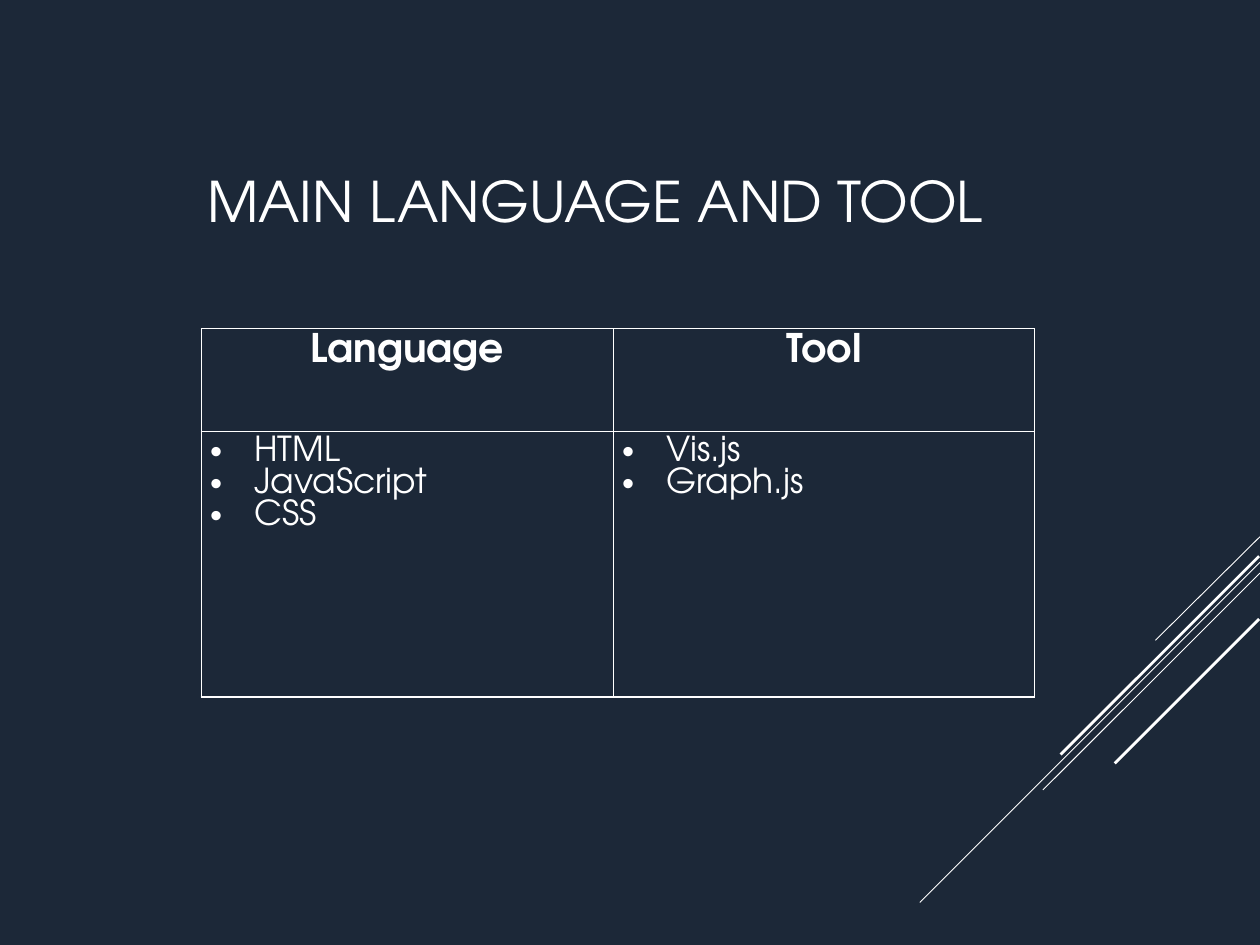
import pptx
import pptx.util
import pptx.dml.color
import pptx.enum.shapes
import pptx.enum.text
import pptx.oxml
import pptx.oxml.ns
from lxml import etree

Inches = pptx.util.Inches
Align = pptx.enum.text.PP_ALIGN
qn = pptx.oxml.ns.qn


def color(code):
    return pptx.dml.color.RGBColor.from_string(code)


class Deck:
    """Holds the style and the current slide, and draws each kind of element."""

    font = "TeX Gyre Adventor"
    ink = "FFFFFF"
    back = "1C2838"

    def __init__(self, width, height):
        self.show = pptx.Presentation()
        self.show.slide_width = Inches(width)
        self.show.slide_height = Inches(height)
        self.slide = self.show.slides.add_slide(self.show.slide_layouts[6])
        fill = self.slide.background.fill
        fill.solid()
        fill.fore_color.rgb = color(self.back)

    def label(self, frame, lines, size, bold=False, align=Align.LEFT):
        frame.text = "\n".join(lines)
        for para in frame.paragraphs:
            para.alignment = align
            for run in para.runs:
                run.font.name = self.font
                run.font.size = pptx.util.Pt(size)
                run.font.bold = bold
                run.font.color.rgb = color(self.ink)

    def title(self, text, left, top, width, height, size):
        box = self.slide.shapes.add_textbox(
            Inches(left), Inches(top), Inches(width), Inches(height))
        frame = box.text_frame
        frame.word_wrap = True
        frame.vertical_anchor = pptx.enum.text.MSO_ANCHOR.MIDDLE
        self.label(frame, [text], size)

    def line(self, right, top, left, end, weight):
        link = self.slide.shapes.add_connector(
            pptx.enum.shapes.MSO_CONNECTOR.STRAIGHT,
            Inches(right), Inches(top), Inches(left), Inches(end))
        link.line.color.rgb = color(self.ink)
        link.line.width = pptx.util.Pt(weight)
        etree.SubElement(link._element.spPr, qn("a:effectLst"))

    def bullet(self, para):
        props = para._p.get_or_add_pPr()
        props.set("marL", str(Inches(0.5)))
        props.set("indent", str(-Inches(0.5)))
        etree.SubElement(props, qn("a:buFont")).set("typeface", "Arial")
        etree.SubElement(props, qn("a:buChar")).set("char", "•")

    def border(self, cell, weight):
        props = cell._tc.get_or_add_tcPr()
        for place, side in enumerate(("lnL", "lnR", "lnT", "lnB")):
            edge = etree.Element(qn("a:" + side), w=str(pptx.util.Pt(weight)))
            fill = etree.SubElement(edge, qn("a:solidFill"))
            etree.SubElement(fill, qn("a:srgbClr")).set("val", self.ink)
            props.insert(place, edge)

    def table(self, left, top, widths, heights, heads, lists):
        grid = self.slide.shapes.add_table(
            len(heights), len(widths), Inches(left), Inches(top),
            Inches(sum(widths)), Inches(sum(heights))).table
        grid.first_row = grid.horz_banding = False
        for row, height in zip(grid.rows, heights):
            row.height = Inches(height)
        for col, width in enumerate(widths):
            grid.columns[col].width = Inches(width)
            head, body = grid.cell(0, col), grid.cell(1, col)
            self.label(head.text_frame, [heads[col]], 32, True, Align.CENTER)
            self.label(body.text_frame, lists[col], 28)
            for para in body.text_frame.paragraphs:
                self.bullet(para)
            for cell in (head, body):
                cell.fill.background()
                self.border(cell, 1)


def main():
    deck = Deck(14.22, 10.67)
    for right, top, left, end, weight in (
            (14.22, 6.06, 13.04, 7.23, 0.75),
            (14.22, 6.35, 10.38, 10.19, 0.75),
            (14.22, 6.47, 11.77, 8.92, 0.75),
            (14.21, 6.28, 11.97, 8.52, 2.25),
            (14.21, 6.99, 12.58, 8.62, 2.25)):
        deck.line(right, top, left, end, weight)
    deck.title("MAIN LANGUAGE AND TOOL", 2.24, 1.08, 10.2, 2.37, 45.5)
    deck.table(2.27, 3.71, (4.65, 4.76), (1.16, 3), ("Language", "Tool"),
               (("HTML", "JavaScript", "CSS"), ("Vis.js", "Graph.js")))
    deck.show.save("out.pptx")


if __name__ == "__main__":
    main()
